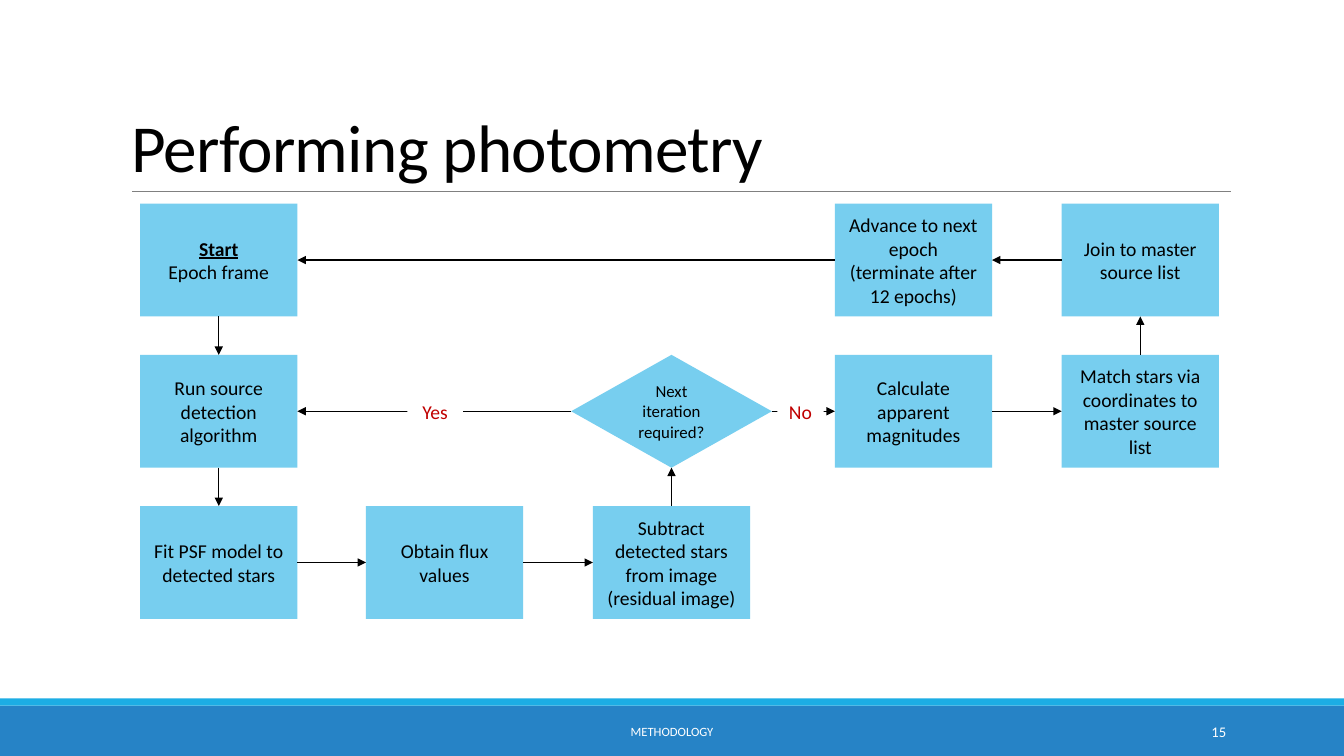
from dataclasses import dataclass

from lxml import etree
from pptx import Presentation
from pptx.dml.color import RGBColor
from pptx.enum.shapes import MSO_CONNECTOR, MSO_SHAPE
from pptx.enum.text import MSO_ANCHOR, MSO_AUTO_SIZE, PP_ALIGN
from pptx.oxml.ns import qn
from pptx.util import Inches, Pt

RECT, DECISION = MSO_SHAPE.RECTANGLE, MSO_SHAPE.FLOWCHART_DECISION
STRAIGHT = MSO_CONNECTOR.STRAIGHT
LEFT_ALIGN, CENTER, RIGHT_ALIGN = PP_ALIGN.LEFT, PP_ALIGN.CENTER, PP_ALIGN.RIGHT
MIDDLE, BOTTOM_ANCHOR = MSO_ANCHOR.MIDDLE, MSO_ANCHOR.BOTTOM
TOP, LEFT, BOTTOM, RIGHT = range(4)

# Content: steps as key -> (column, row, lines)
TITLE = "Performing photometry"
SECTION = "METHODOLOGY"
PAGE = "15"
STEPS = {
    "start": (0, 0, ["Start", "Epoch frame"]),
    "detect": (0, 1, ["Run source detection algorithm"]),
    "fit": (0, 2, ["Fit PSF model to detected stars"]),
    "flux": (1, 2, ["Obtain flux values"]),
    "subtract": (2, 2, ["Subtract detected stars from image (residual image)"]),
    "decide": (2, 1, ["Next iteration required?"]),
    "calculate": (3, 1, ["Calculate apparent magnitudes"]),
    "match": (4, 1, ["Match stars via coordinates to master source list"]),
    "join": (4, 0, ["Join to master source list"]),
    "advance": (3, 0, ["Advance to next epoch (terminate after 12 epochs)"]),
}
FLOWS = [
    ("start", BOTTOM, "detect", TOP),
    ("detect", BOTTOM, "fit", TOP),
    ("fit", RIGHT, "flux", LEFT),
    ("flux", RIGHT, "subtract", LEFT),
    ("subtract", TOP, "decide", BOTTOM),
    ("decide", LEFT, "detect", RIGHT),
    ("decide", RIGHT, "calculate", LEFT),
    ("calculate", RIGHT, "match", LEFT),
    ("match", TOP, "join", BOTTOM),
    ("join", LEFT, "advance", RIGHT),
    ("advance", LEFT, "start", RIGHT),
]
ANSWERS = [("Yes", 4.04, 0.55), ("No", 7.71, 0.46)]  # text, left, width

# Grid, in inches
SLIDE_W, SLIDE_H = 13.33, 7.5
COLUMN_LEFTS = [1.39, 3.63, 5.88, 8.28, 10.53]
ROW_TOP, ROW_PITCH = 2.02, 1.5
BOX_W, BOX_H, DECISION_W = 1.56, 1.12, 1.99
ANSWER_H = 0.24
FOOTER_TOP, STRIPE_H = 7.0, 0.07


@dataclass(frozen=True)
class Theme:
    font: str = "Calibri"
    ink: str = "000000"
    paper: str = "FFFFFF"
    box: str = "77CEEF"
    answer: str = "C00000"
    rule: str = "808080"
    footer: str = "2683C6"
    stripe: str = "1CADE4"
    title_size: float = 48
    step_size: float = 14
    decision_size: float = 12
    page_size: float = 10.5
    section_size: float = 9


THEME = Theme()


def inches(*lengths):
    return [Inches(length) for length in lengths]


def add_run(paragraph, text, size, color):
    run = paragraph.add_run()
    run.text = text
    run.font.name = THEME.font
    run.font.size = Pt(size)
    run.font.color.rgb = RGBColor.from_string(color)
    return run


def write(shape, lines, size, color, align=CENTER):
    """Put lines in a shape, one paragraph each, and return their runs."""
    frame = shape.text_frame
    frame.word_wrap = True
    frame.vertical_anchor = MIDDLE
    runs = []
    for i, line in enumerate(lines):
        paragraph = frame.add_paragraph() if i else frame.paragraphs[0]
        paragraph.alignment = align
        runs.append(add_run(paragraph, line, size, color))
    return runs


def add_filled(slide, kind, place, color):
    shape = slide.shapes.add_shape(kind, *inches(*place))
    shape.shadow.inherit = False
    shape.fill.solid()
    shape.fill.fore_color.rgb = RGBColor.from_string(color)
    shape.line.fill.background()
    return shape


def add_line(slide, ends, color, width):
    line = slide.shapes.add_connector(STRAIGHT, *inches(*ends))
    line.line.color.rgb = RGBColor.from_string(color)
    line.line.width = Pt(width)
    etree.SubElement(line._element.spPr, qn("a:effectLst"))
    return line


def add_title(slide):
    title = slide.shapes.title
    title.left, title.top, title.width, title.height = inches(1.2, 0.31, 11, 1.59)
    run = write(title, [TITLE], THEME.title_size, THEME.ink, LEFT_ALIGN)[0]
    run._r.get_or_add_rPr().set("spc", "-50")
    title.text_frame.auto_size = MSO_AUTO_SIZE.NONE
    title.text_frame.vertical_anchor = BOTTOM_ANCHOR
    title.text_frame.paragraphs[0].line_spacing = 0.85
    add_line(slide, (1.31, 1.9, 12.21, 1.9), THEME.rule, 0.5)


def add_footer(slide):
    add_filled(slide, RECT, (0, FOOTER_TOP, SLIDE_W, SLIDE_H - FOOTER_TOP), THEME.footer)
    add_filled(slide, RECT, (0, FOOTER_TOP - STRIPE_H, SLIDE_W, STRIPE_H), THEME.stripe)
    for text, left, width, size, align in [
        (SECTION, 4.03, 5.27, THEME.section_size, CENTER),
        (PAGE, 10.83, 1.43, THEME.page_size, RIGHT_ALIGN),
    ]:
        label = slide.shapes.add_textbox(*inches(left, FOOTER_TOP + 0.06, width, 0.4))
        write(label, [text], size, THEME.paper, align)


def add_step(slide, key):
    column, row, lines = STEPS[key]
    is_decision = key == "decide"
    width = DECISION_W if is_decision else BOX_W
    left = COLUMN_LEFTS[column] - (width - BOX_W) / 2
    place = (left, ROW_TOP + row * ROW_PITCH, width, BOX_H)
    step = add_filled(slide, DECISION if is_decision else RECT, place, THEME.box)
    size = THEME.decision_size if is_decision else THEME.step_size
    runs = write(step, lines, size, THEME.ink)
    if key == "start":
        runs[0].font.bold = runs[0].font.underline = True
    return step


def add_flow(slide, source, source_side, target, target_side):
    arrow = add_line(slide, (0, 0, 1, 1), THEME.ink, 1)
    arrow.begin_connect(source, source_side)
    arrow.end_connect(target, target_side)
    etree.SubElement(arrow.line._get_or_add_ln(), qn("a:tailEnd"), type="triangle")


def main():
    deck = Presentation()
    deck.slide_width, deck.slide_height = inches(SLIDE_W, SLIDE_H)
    slide = deck.slides.add_slide(deck.slide_layouts[5])
    add_title(slide)
    add_footer(slide)
    steps = {key: add_step(slide, key) for key in STEPS}
    for source, source_side, target, target_side in FLOWS:
        add_flow(slide, steps[source], source_side, steps[target], target_side)
    answer_top = ROW_TOP + ROW_PITCH + (BOX_H - ANSWER_H) / 2
    for text, left, width in ANSWERS:
        answer = add_filled(slide, RECT, (left, answer_top, width, ANSWER_H), THEME.paper)
        write(answer, [text], THEME.step_size, THEME.answer)
    deck.save("out.pptx")


if __name__ == "__main__":
    main()
